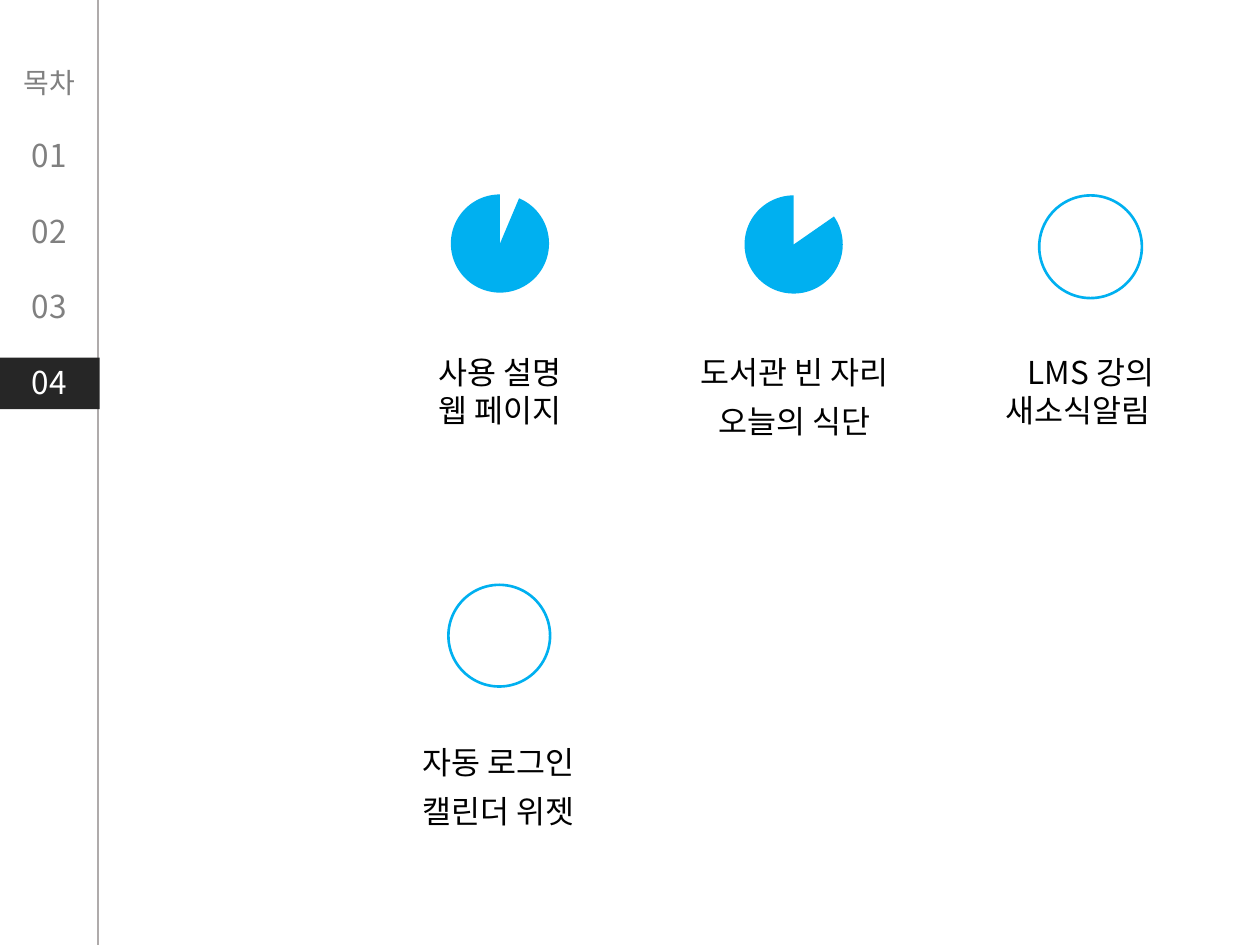
"""Build the progress slide with its numbered side navigation."""
from lxml import etree
from pptx import Presentation
from pptx.dml.color import RGBColor
from pptx.enum.shapes import MSO_CONNECTOR, MSO_SHAPE
from pptx.enum.text import PP_ALIGN
from pptx.oxml.ns import qn
from pptx.util import Cm, Pt

RECT, OVAL, PIE = MSO_SHAPE.RECTANGLE, MSO_SHAPE.OVAL, MSO_SHAPE.CHORD.PIE
STRAIGHT = MSO_CONNECTOR.STRAIGHT
CENTER, JUSTIFY = PP_ALIGN.CENTER, PP_ALIGN.JUSTIFY
FONT = "Noto Sans CJK KR"
COLORS = {"rule": "AFABAB", "active": "262626", "muted": "808080",
          "blue": "00B0F0", "black": "000000", "white": "FFFFFF"}
PIE_END = 162


def rgb(name):
    return RGBColor.from_string(COLORS[name])


def add_shape(slide, kind, left, top, width, height, fill=None, line=None):
    sp = slide.shapes.add_shape(kind, Cm(left), Cm(top), Cm(width), Cm(height))
    sp.shadow.inherit = False
    if fill:
        sp.fill.solid()
        sp.fill.fore_color.rgb = rgb(fill)
    else:
        sp.fill.background()
    if line:
        sp.line.color.rgb = rgb(line)
        sp.line.width = Pt(1.5)
    else:
        sp.line.fill.background()
    return sp


def add_ring(slide, left, top, size):
    add_shape(slide, OVAL, left, top, size, size, line="blue")


def add_pie(slide, left, top, start):
    sp = add_shape(slide, PIE, left, top, 1.98, 1.98, fill="blue")
    sp.adjustments[0] = start
    sp.adjustments[1] = PIE_END


def add_rule(slide, x, height):
    line = slide.shapes.add_connector(STRAIGHT, Cm(x), Cm(0), Cm(x), Cm(height))
    line.line.color.rgb = rgb("rule")
    line.line.width = Pt(1.25)
    etree.SubElement(line._element.spPr, qn("a:effectLst"))


def add_run(p, text, size=18, color="black"):
    r = p.add_run()
    r.text = text
    r.font.size = Pt(size)
    r.font.name = FONT
    r.font.color.rgb = rgb(color)
    etree.SubElement(r._r.get_or_add_rPr(), qn("a:ea"), typeface=FONT)


def add_text(slide, lines, left, top, width, height, wrap=False, spacing=None,
             gap=0, last_align=CENTER):
    tf = slide.shapes.add_textbox(Cm(left), Cm(top), Cm(width), Cm(height)).text_frame
    tf.word_wrap = wrap
    for i, (text, style) in enumerate(lines):
        p = tf.paragraphs[0] if i == 0 else tf.add_paragraph()
        p.alignment = last_align if i == len(lines) - 1 else CENTER
        if spacing:
            p.line_spacing = spacing
        if gap and i:
            p.space_before = Pt(gap)
        add_run(p, text, **style)


def add_navigation(slide):
    add_rule(slide, 1.98, 19.05)
    add_shape(slide, RECT, 0, 7.21, 2.01, 1.04, fill="active")
    lines = [("목차", {"size": 16, "color": "muted"})]
    lines += [(f"{n:02}", {"color": "white" if n == 4 else "muted"})
              for n in range(1, 5)]
    add_text(slide, lines, 0.08, 1.19, 1.83, 8.64, wrap=True, gap=21.5)


def add_label(slide, first, second, *box, **options):
    add_text(slide, [(first, {}), (second, {})], *box, **options)


def main():
    prs = Presentation()
    prs.slide_width, prs.slide_height = Cm(25.4), Cm(19.05)
    slide = prs.slides.add_slide(prs.slide_layouts[6])
    add_navigation(slide)
    add_pie(slide, 9.09, 3.92, 175.76)
    add_pie(slide, 15.01, 3.94, 195.15)
    add_ring(slide, 20.95, 3.94, 2.07)
    add_ring(slide, 9.04, 11.79, 2.05)
    add_label(slide, "사용 설명", "웹 페이지", 8.53, 6.99, 3.1, 1.8)
    add_label(slide, "도서관 빈 자리", "오늘의 식단", 13.77, 6.76, 4.5, 2.26, spacing=1.3)
    add_label(slide, "LMS 강의", "새소식알림", 20.02, 6.99, 3.94, 1.8,
              wrap=True, last_align=JUSTIFY)
    add_label(slide, "자동 로그인", "캘린더 위젯", 8.2, 14.63, 3.71, 2.26, spacing=1.3)
    prs.save("out.pptx")


if __name__ == "__main__":
    main()
